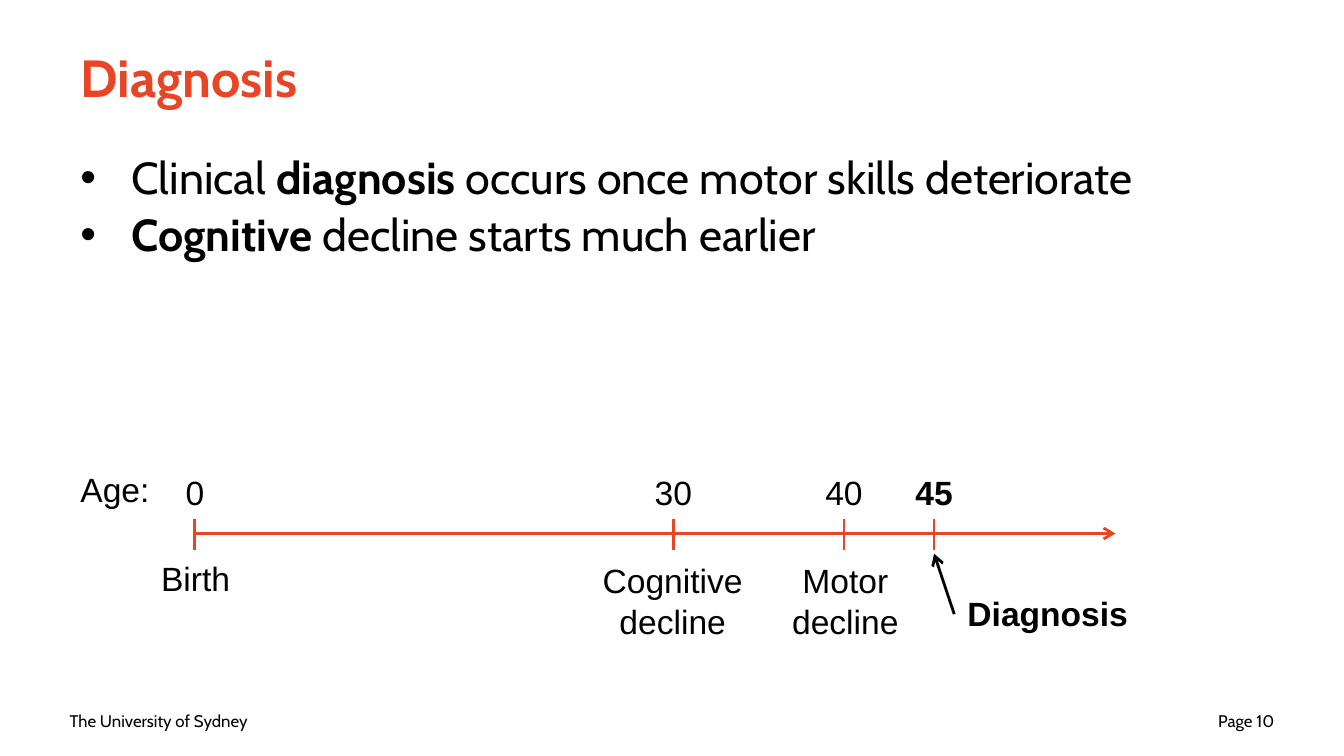
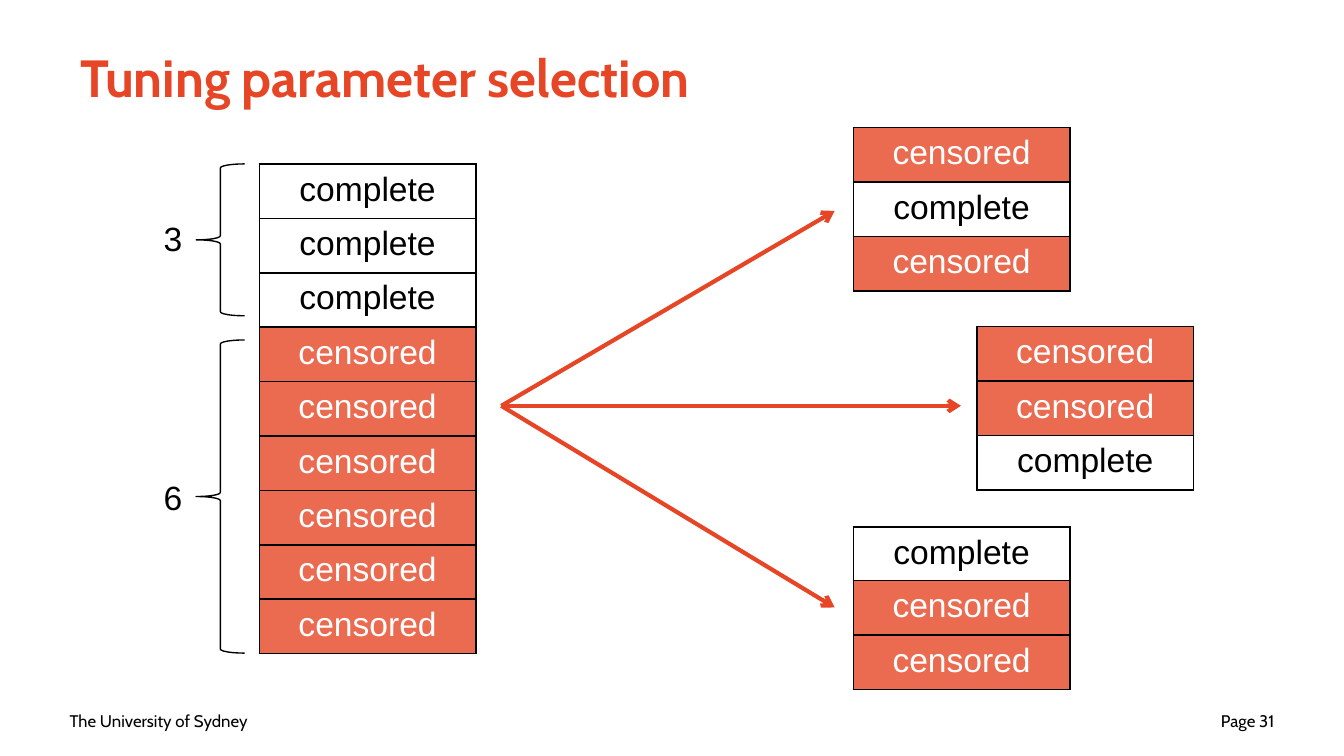
from lxml import etree
from pptx import Presentation
from pptx.dml.color import RGBColor
from pptx.enum.shapes import MSO_CONNECTOR, MSO_SHAPE
from pptx.enum.text import MSO_ANCHOR, PP_ALIGN
from pptx.oxml.ns import qn
from pptx.util import Pt

PX = 4572  # 200 px to the inch
LEFT, CENTER, RIGHT = PP_ALIGN.LEFT, PP_ALIGN.CENTER, PP_ALIGN.RIGHT
TOP, MIDDLE = MSO_ANCHOR.TOP, MSO_ANCHOR.MIDDLE
STRAIGHT, BRACE = MSO_CONNECTOR.STRAIGHT, MSO_SHAPE.LEFT_BRACE

ORANGE, BLACK, WHITE = "E64626", "000000", "FFFFFF"
color = RGBColor.from_string
TITLE = {"name": "Cabin", "size": Pt(28), "bold": True}
BODY = {"name": "Cabin", "size": Pt(24)}
FOOTER = {"name": "Cabin", "size": Pt(9)}
LABEL = {"name": "Arial", "size": Pt(18)}
STRONG = {**LABEL, "bold": True}


def write(page, at, lines, style, align=LEFT, anchor=TOP, ink=BLACK, wrap=True):
    """Add a text box; each line is a list of (text, bold) spans or a string."""
    box = page.shapes.add_textbox(*(n * PX for n in at))
    frame = box.text_frame
    frame.word_wrap = wrap
    frame.vertical_anchor = anchor
    for i, line in enumerate(lines):
        para = frame.paragraphs[0] if i == 0 else frame.add_paragraph()
        para.alignment = align
        spans = [(line, style.get("bold", False))] if isinstance(line, str) else line
        for text, bold in spans:
            span = para.add_run()
            span.text = text
            for name, value in {**style, "bold": bold}.items():
                setattr(span.font, name, value)
            span.font.color.rgb = color(ink)
    return box


def draw_line(page, start, end, ink=ORANGE, width=1.5, arrow=False):
    line = page.shapes.add_connector(STRAIGHT, *(n * PX for n in (*start, *end)))
    line.line.color.rgb = color(ink)
    line.line.width = Pt(width)
    if arrow:
        etree.SubElement(line.line._get_or_add_ln(), qn("a:tailEnd"), type="arrow")
    etree.SubElement(line._element.spPr, qn("a:effectLst"))


deck = Presentation()
deck.slide_width, deck.slide_height = 2000 * PX, 1125 * PX

# Shared title and footer
pages = []
for title, number in (("Diagnosis", 10), ("Tuning parameter selection", 31)):
    page = deck.slides.add_slide(deck.slide_layouts[6])
    write(page, (84, 1042, 466, 60), ["The University of Sydney"], FOOTER, anchor=MIDDLE)
    write(page, (1450, 1042, 466, 60), [f"Page {number}"], FOOTER, RIGHT, MIDDLE)
    write(page, (100, 20, 1800, 188), [title], TITLE, anchor=MIDDLE, ink=ORANGE)
    pages.append(page)
diagnosis, tuning = pages

# Diagnosis: bullets
points = [
    [("Clinical ", False), ("diagnosis", True),
     (" occurs once motor skills deteriorate", False)],
    [("Cognitive", True), (" decline starts much earlier", False)],
]
body = write(diagnosis, (100, 222, 1800, 340), points, BODY)
for i, para in enumerate(body.text_frame.paragraphs):
    para.line_spacing = 0.9
    para.space_before = Pt(4.8 if i else 0)
    properties = para._p.get_or_add_pPr()
    properties.set("marL", str(76 * PX))
    properties.set("indent", str(-76 * PX))
    etree.SubElement(properties, qn("a:buFont"), typeface="Arial")
    etree.SubElement(properties, qn("a:buChar"), char="•")

# Diagnosis: timeline of ages
AXIS = 794
draw_line(diagnosis, (290, AXIS), (1660, AXIS), arrow=True)
for age, x in ((0, 290), (30, 1002), (40, 1256), (45, 1390)):
    draw_line(diagnosis, (x, AXIS - 22), (x, AXIS + 24))
    write(diagnosis, (x - 56, 692, 112, 80), [str(age)],
          STRONG if age == 45 else LABEL, CENTER)

# Diagnosis: event labels
for text, at, style, align in (
    ("Age:", (100, 688, 148, 80), LABEL, LEFT),
    ("Birth", (120, 820, 342, 80), LABEL, CENTER),
    ("Cognitive decline", (830, 824, 342, 142), LABEL, CENTER),
    ("Motor decline", (1118, 824, 280, 142), LABEL, CENTER),
    ("Diagnosis", (1420, 872, 342, 80), STRONG, LEFT),
):
    write(diagnosis, at, [text], style, align)
draw_line(diagnosis, (1420, 914), (1390, 824), BLACK, arrow=True)

# Tuning: the full sample and its three folds
ROW, COLUMN = 81, 322
COMPLETE, CENSORED = "complete", "censored"
for left, top, first_row, entries in (
    (386, 244, ROW, [COMPLETE] * 3 + [CENSORED] * 6),
    (1270, 784, 77, [COMPLETE, CENSORED, CENSORED]),
    (1270, 190, ROW, [CENSORED, COMPLETE, CENSORED]),
    (1454, 486, ROW, [CENSORED, CENSORED, COMPLETE]),
):
    height = first_row + ROW * (len(entries) - 1)
    table = tuning.shapes.add_table(
        len(entries), 1, left * PX, top * PX, COLUMN * PX, height * PX).table
    table.first_row = table.horz_banding = False
    for i, entry in enumerate(entries):
        table.rows[i].height = (ROW if i else first_row) * PX
        cell = table.cell(i, 0)
        censored = entry == CENSORED
        for side in ("a:lnL", "a:lnR", "a:lnT", "a:lnB"):
            border = etree.SubElement(cell._tc.get_or_add_tcPr(), qn(side), w=str(Pt(1)))
            paint = etree.SubElement(border, qn("a:solidFill"))
            etree.SubElement(paint, qn("a:srgbClr"), val=BLACK)
        cell.fill.solid()
        cell.fill.fore_color.rgb = color(ORANGE if censored else WHITE)
        if censored:
            tint = cell._tc.tcPr.find(qn("a:solidFill")).find(qn("a:srgbClr"))
            etree.SubElement(tint, qn("a:alpha"), val="80000")
        para = cell.text_frame.paragraphs[0]
        para.alignment = CENTER
        span = para.add_run()
        span.text = entry
        for name, value in {**LABEL, "bold": False}.items():
            setattr(span.font, name, value)
        span.font.color.rgb = color(WHITE if censored else BLACK)

# Tuning: arrows from the sample to each fold
for end in ((1242, 314), (1430, 604), (1242, 904)):
    draw_line(tuning, (746, 604), end, width=2.25, arrow=True)

# Tuning: braces with row counts
for count, top, height, label_top in ((3, 244, 226, 314), (6, 506, 466, 700)):
    brace = tuning.shapes.add_shape(BRACE, 292 * PX, top * PX, 72 * PX, height * PX)
    brace.shadow.inherit = False
    brace.fill.background()
    brace.line.color.rgb = color(BLACK)
    brace.line.width = Pt(0.75)
    write(tuning, (224, label_top, 68, 80), [str(count)], LABEL, wrap=False)

deck.save("out.pptx")
